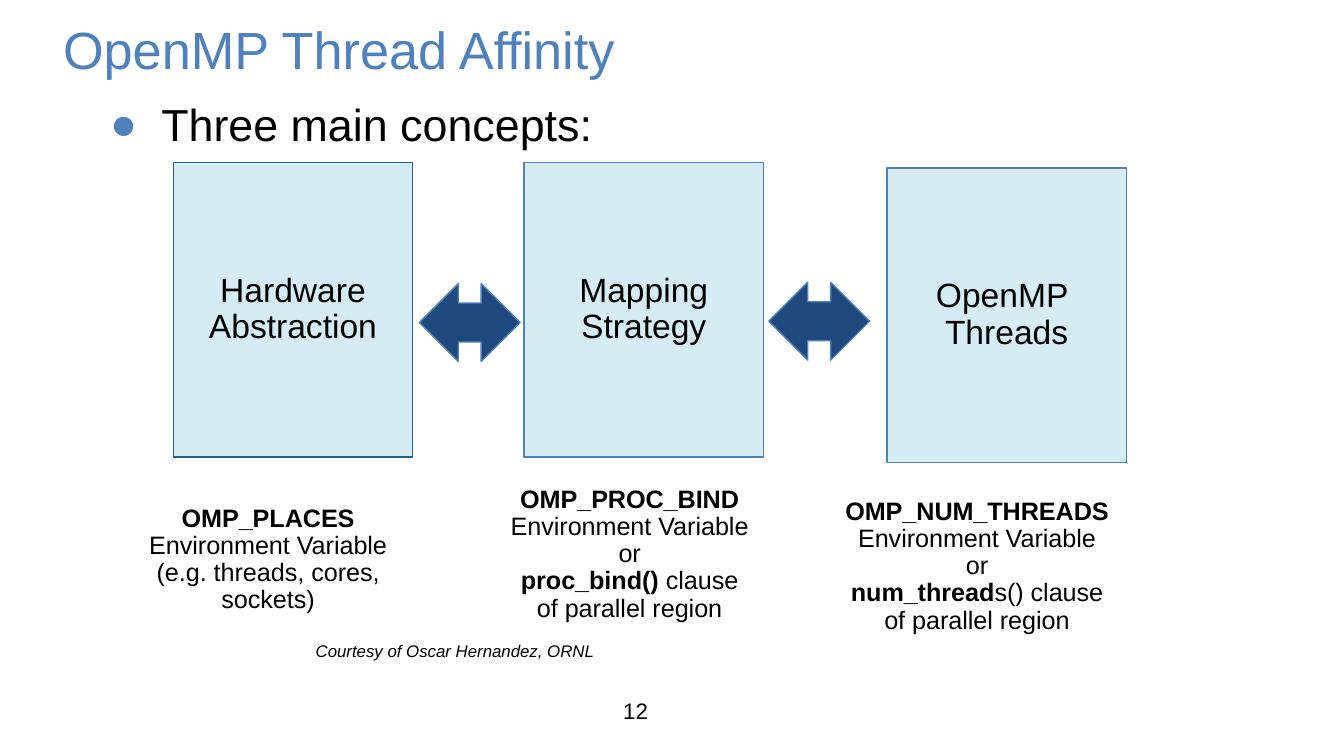
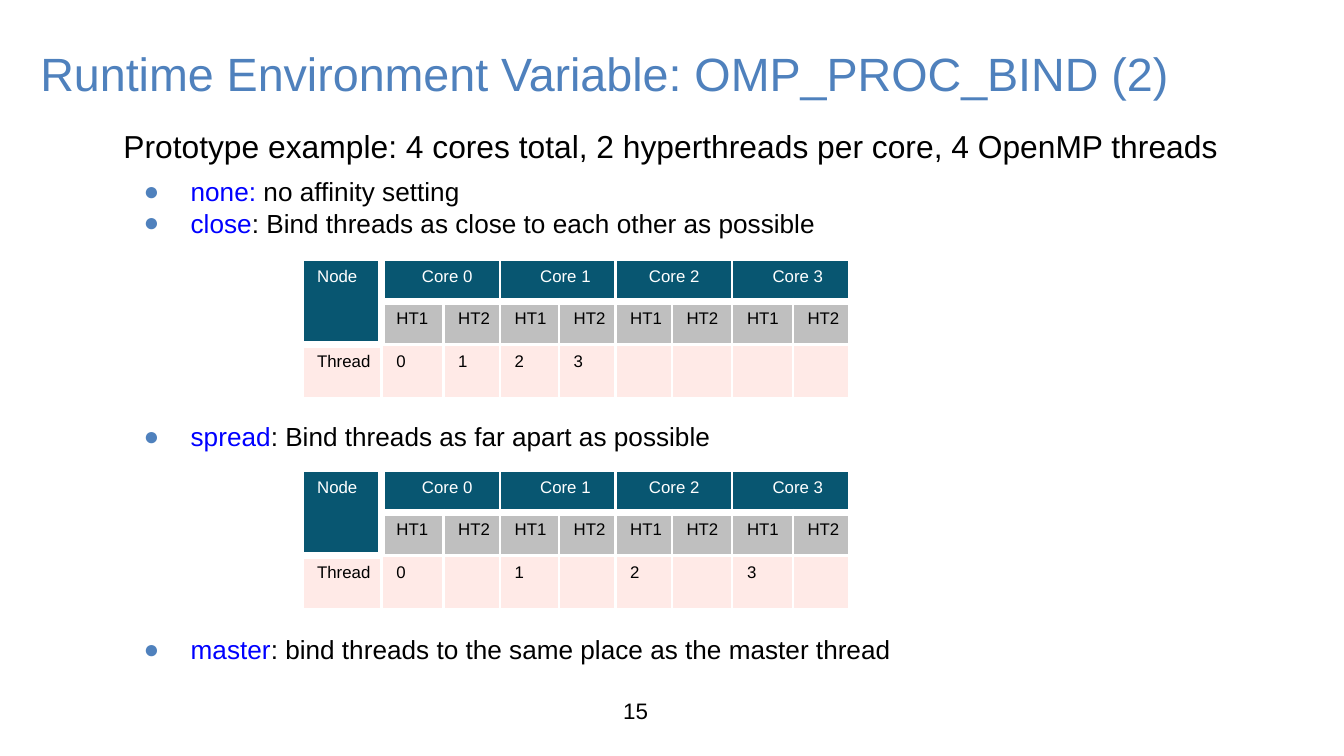
from dataclasses import dataclass

from lxml import etree
from pptx import Presentation
from pptx import util as u
from pptx.dml.color import RGBColor
from pptx.enum import shapes, text
from pptx.oxml.ns import qn


@dataclass(frozen=True)
class Theme:
    font: str = "Arial"
    # colours
    accent: str = "4F81BD"
    ink: str = "000000"
    white: str = "FFFFFF"
    keyword: str = "0000FF"
    panel: str = "D6ECF4"
    panel_edge: str = "266092"
    arrow: str = "1F497D"
    header: str = "085671"
    subheader: str = "BFBFBF"
    thread_row: str = "FFEAE7"
    # type sizes
    concept: float = 18
    caption: float = 13.5
    lead: float = 24
    intro: float = 17
    item: float = 14
    cell: float = 9
    credit: float = 9
    number: float = 12
    # line widths
    thin: float = 1.5
    thick: float = 4.25
    outline: float = 0.75


THEME = Theme()
CENTER = text.PP_ALIGN.CENTER
TIGHT = (0.07, 0.04, 0.07, 0.04)

COLUMNS = (0.59, 0.46, 0.42, 0.44, 0.42, 0.42, 0.45, 0.45, 0.42)
ROWS = (0.27, 0.32, 0.38)
CORE_INDENTS = (0.29, 0.29, 0.24, 0.29)


# ---- text helpers ----
def color(value):
    return RGBColor.from_string(value)


def style(para, size, tint=THEME.ink, bold=False, italic=False):
    for span in para.runs:
        font = span.font
        font.name, font.size = THEME.font, u.Pt(size)
        font.bold, font.italic = bold, italic
        font.color.rgb = color(tint)


def add_span(para, words, size, tint=THEME.ink):
    span = para.add_run()
    span.text = words
    span.font.name, span.font.size = THEME.font, u.Pt(size)
    span.font.color.rgb = color(tint)


def indent(para, left, hanging=0):
    props = para._p.get_or_add_pPr()
    props.set("marL", str(u.Inches(left)))
    props.set("indent", str(-u.Inches(hanging)))
    return props


def add_bullet(para, hanging):
    props = indent(para, 0.5, hanging)
    tint = etree.SubElement(props, qn("a:buClr"))
    etree.SubElement(tint, qn("a:srgbClr")).set("val", THEME.accent)
    etree.SubElement(props, qn("a:buFont")).set("typeface", THEME.font)
    etree.SubElement(props, qn("a:buChar")).set("char", "●")


def set_margins(target, margins):
    (target.margin_left, target.margin_top,
     target.margin_right, target.margin_bottom) = map(u.Inches, margins)


def add_box(page, place, margins=TIGHT):
    frame = page.shapes.add_textbox(*map(u.Inches, place)).text_frame
    frame.word_wrap = True
    set_margins(frame, margins)
    return frame


# ---- shared slide parts ----
def add_page(deck, title, place, size, number):
    page = deck.slides.add_slide(deck.slide_layouts[6])
    para = add_box(page, place).paragraphs[0]
    para.text = title
    para.line_spacing = 0.85
    style(para, size, THEME.accent)

    para = add_box(page, (3.58, 5.19, 2.3, 0.2), (0, 0, 0, 0)).paragraphs[0]
    para.text = str(number)
    para.alignment = CENTER
    style(para, THEME.number)
    return page


# ---- concept diagram ----
def add_preset(page, kind, place, fill, line):
    shape = page.shapes.add_shape(kind, *map(u.Inches, place))
    shape.shadow.inherit = False
    shape.fill.solid()
    shape.fill.fore_color.rgb = color(fill)
    shape.line.color.rgb = color(line)
    shape.line.width = u.Pt(THEME.outline)
    return shape


def add_concept(page, left, top, words, line=THEME.accent):
    panel = add_preset(page, shapes.MSO_SHAPE.RECTANGLE,
                       (left, top, 1.78, 2.19), THEME.panel, line)
    frame = panel.text_frame
    frame.word_wrap = True
    frame.vertical_anchor = text.MSO_ANCHOR.MIDDLE
    set_margins(frame, (0.04,) * 4)
    frame.text = words
    for para in frame.paragraphs:
        para.alignment, para.line_spacing = CENTER, 0.9
        style(para, THEME.concept)


def add_arrow(page, left, top):
    arrow = add_preset(page, shapes.MSO_SHAPE.LEFT_RIGHT_ARROW,
                       (left, top, 0.75, 0.58), THEME.arrow, THEME.accent)
    arrow.adjustments[0] = arrow.adjustments[1] = 0.5


def add_caption(page, place, lines):
    """Each line is a bold part and a plain part."""
    frame = add_box(page, place)
    frame.text = "\n".join(strong for strong, _ in lines)
    for para, (_, plain) in zip(frame.paragraphs, lines):
        para.alignment, para.line_spacing = CENTER, 0.9
        style(para, THEME.caption, bold=True)
        if plain:
            add_span(para, plain, THEME.caption)


# ---- thread placement tables ----
def set_borders(cell, row, col):
    """Thick gaps surround the node cell and lie below the core headers."""
    beside_node = row < 2
    widths = {
        "L": beside_node and col == 1,
        "R": beside_node and col == 0,
        "T": (row, col > 0) in ((1, True), (2, False)),
        "B": row == 0 or (row, col) == (1, 0),
    }
    props = cell._tc.get_or_add_tcPr()
    for place, (side, thick) in enumerate(widths.items()):
        line = etree.Element(qn(f"a:ln{side}"))
        line.set("w", str(u.Pt(THEME.thick if thick else THEME.thin)))
        fill = etree.SubElement(line, qn("a:solidFill"))
        etree.SubElement(fill, qn("a:srgbClr")).set("val", THEME.white)
        props.insert(place, line)


def fill_cell(cell, words, tint, left=0.1):
    set_margins(cell, (0.01, 0.04, 0.01, 0.1))
    para = cell.text_frame.paragraphs[0]
    para.text = words
    para.line_spacing, para.space_before = 1.15, u.Pt(4)
    indent(para, left)
    style(para, THEME.cell, tint)


def add_thread_table(page, top, threads):
    place = map(u.Inches, (2.25, top, sum(COLUMNS), sum(ROWS)))
    table = page.shapes.add_table(len(ROWS), len(COLUMNS), *place).table
    table.first_row = table.horz_banding = False
    for column, width in zip(table.columns, COLUMNS):
        column.width = u.Inches(width)
    for row, height in zip(table.rows, ROWS):
        row.height = u.Inches(height)

    fills = (THEME.header, THEME.subheader, THEME.thread_row)
    for row, fill in enumerate(fills):
        for col in range(len(COLUMNS)):
            cell = table.cell(row, col)
            cell.fill.solid()
            cell.fill.fore_color.rgb = color(
                THEME.header if (row, col) == (1, 0) else fill)
            set_borders(cell, row, col)

    table.cell(0, 0).merge(table.cell(1, 0))
    fill_cell(table.cell(0, 0), "Node", THEME.white)
    for core, left in enumerate(CORE_INDENTS):
        col = 1 + 2 * core
        table.cell(0, col).merge(table.cell(0, col + 1))
        fill_cell(table.cell(0, col), f"Core {core}", THEME.white, left)
        for step in (0, 1):
            fill_cell(table.cell(1, col + step), f"HT{step + 1}", THEME.ink)
    fill_cell(table.cell(2, 0), "Thread", THEME.ink)
    for thread, col in enumerate(threads):
        fill_cell(table.cell(2, col), str(thread), THEME.ink)


# ---- slides ----
def build_concepts(deck):
    page = add_page(deck, "OpenMP Thread Affinity",
                    (0.4, 0.16, 9.33, 0.41), 28, 12)

    add_concept(page, 1.29, 1.21, "Hardware\nAbstraction", THEME.panel_edge)
    add_concept(page, 6.6, 1.25, "OpenMP \nThreads")
    add_concept(page, 3.9, 1.21, "Mapping Strategy")
    add_arrow(page, 3.12, 2.11)
    add_arrow(page, 5.72, 2.1)

    variable = ("", "Environment Variable")
    region = ("", "of parallel region")
    add_caption(page, (1.02, 3.72, 1.95, 0.49), [
        ("OMP_PLACES", ""), variable,
        ("", "(e.g. threads, cores, sockets)")])
    add_caption(page, (3.71, 3.58, 1.95, 1.51), [
        ("OMP_PROC_BIND", ""), variable, ("", "or"),
        ("proc_bind()", " clause"), region])
    add_caption(page, (6.2, 3.67, 2.14, 1.31), [
        ("OMP_NUM_THREADS", ""), variable, ("", "or"),
        ("num_thread", "s() clause"), region])

    credit = add_box(page, (2.25, 4.72, 2.29, 0.25),
                     (0.1, 0.05, 0.1, 0.05)).paragraphs[0]
    credit.text = "Courtesy of Oscar Hernandez, ORNL"
    style(credit, THEME.credit, italic=True)

    lead = add_box(page, (0.63, 0.68, 8.58, 0.58)).paragraphs[0]
    lead.text = "Three main concepts:"
    lead.space_before = u.Pt(6)
    add_bullet(lead, 0.38)
    style(lead, THEME.lead)


def build_binding(deck):
    page = add_page(deck, "Runtime Environment Variable: OMP_PROC_BIND (2)",
                    (0.23, 0.36, 9.33, 0.59), 25, 15)
    add_thread_table(page, 1.93, (1, 2, 3, 4))
    add_thread_table(page, 3.5, (1, 3, 5, 7))

    frame = add_box(page, (0.82, 0.84, 8.59, 3.59), (0.1,) * 4)
    intro = frame.paragraphs[0]
    intro.text = ("Prototype example: 4 cores total, "
                  "2 hyperthreads per core, 4 OpenMP threads")
    intro.space_before = u.Pt(6)
    style(intro, THEME.intro)

    # The wide gaps leave room for the tables
    policies = (
        ("none:", " no affinity setting", 6),
        ("close", ": Bind threads as close to each other as possible", 0),
        ("spread", ": Bind threads as far apart as possible", 97.5),
        ("master", ": bind threads to the same place as the master thread", 97.5),
    )
    for keyword, meaning, gap in policies:
        para = frame.add_paragraph()
        para.text = keyword
        para.space_before = u.Pt(gap)
        add_bullet(para, 0.35)
        style(para, THEME.item, THEME.keyword)
        add_span(para, meaning, THEME.item)


def main():
    deck = Presentation()
    deck.slide_width = u.Inches(10)
    deck.slide_height = deck.slide_width * 9 // 16
    build_concepts(deck)
    build_binding(deck)
    deck.save("out.pptx")


if __name__ == "__main__":
    main()
